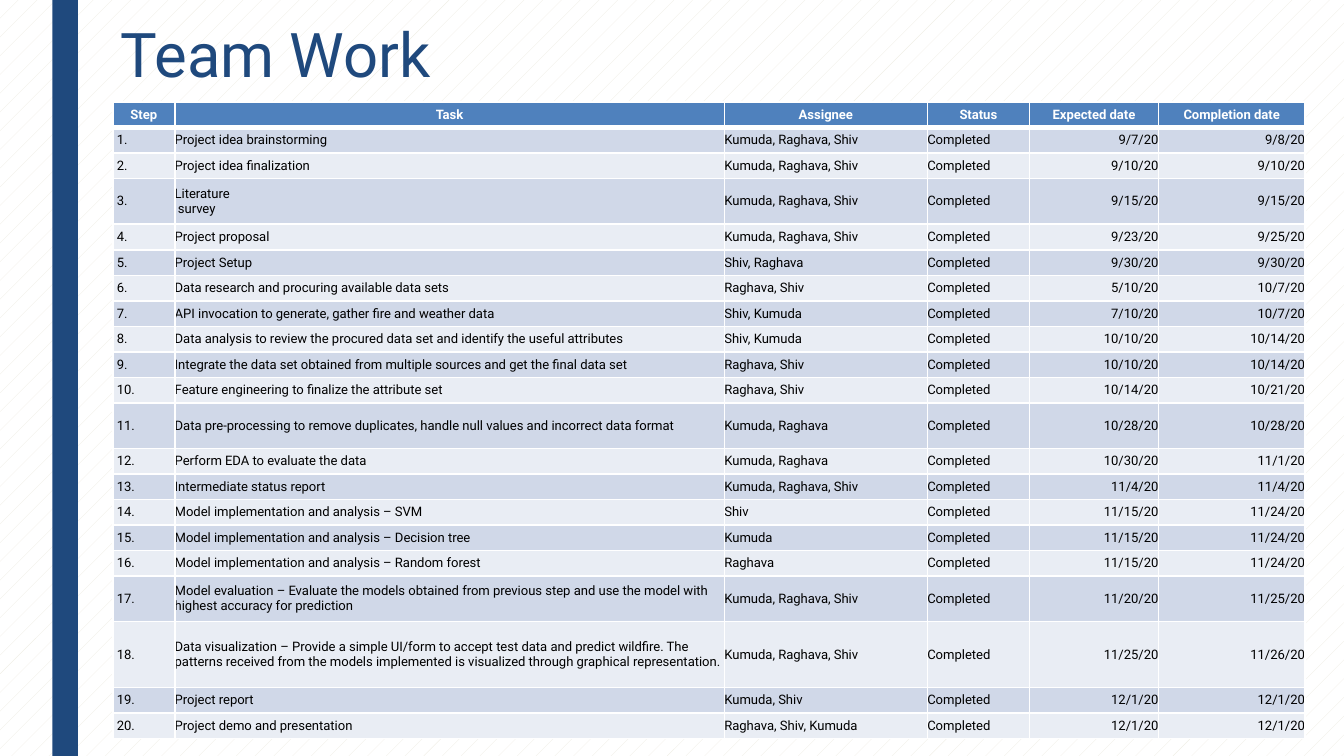
"""Build the Team Work slide: a project plan table beside a blue side bar."""
from pptx import Presentation
from pptx import util as u
from pptx.dml.color import RGBColor
from pptx.enum import dml, shapes, text
from pptx.oxml import parse_xml
from pptx.oxml.ns import nsdecls

NAVY = RGBColor(0x1F, 0x49, 0x7D)
BLUE = RGBColor(0x4F, 0x81, 0xBD)
BAND_DARK = RGBColor(0xD0, 0xD8, 0xE8)
BAND_LIGHT = RGBColor(0xE9, 0xED, 0xF4)
CREAM = RGBColor(0xEE, 0xEC, 0xE1)
WHITE = RGBColor(0xFF, 0xFF, 0xFF)
BLACK = RGBColor(0, 0, 0)
FONT = "Roboto"

TITLE = "Team Work"
HEADINGS = ("Step", "Task", "Assignee", "Status", "Expected date", "Completion date")
STATUS = "Completed"
EVERYONE = "Kumuda, Raghava, Shiv"
TASKS = [
    ("Project idea brainstorming", EVERYONE, "9/7/20", "9/8/20"),
    ("Project idea finalization", EVERYONE, "9/10/20", "9/10/20"),
    ("Literature\n survey", EVERYONE, "9/15/20", "9/15/20"),
    ("Project proposal", EVERYONE, "9/23/20", "9/25/20"),
    ("Project Setup", "Shiv, Raghava", "9/30/20", "9/30/20"),
    ("Data research and procuring available data sets", "Raghava, Shiv", "5/10/20", "10/7/20"),
    ("API invocation to generate, gather fire and weather data", "Shiv, Kumuda", "7/10/20", "10/7/20"),
    ("Data analysis to review the procured data set and identify the useful attributes",
     "Shiv, Kumuda", "10/10/20", "10/14/20"),
    ("Integrate the data set obtained from multiple sources and get the final data set",
     "Raghava, Shiv", "10/10/20", "10/14/20"),
    ("Feature engineering to finalize the attribute set", "Raghava, Shiv", "10/14/20", "10/21/20"),
    ("Data pre-processing to remove duplicates, handle null values and incorrect data format",
     "Kumuda, Raghava", "10/28/20", "10/28/20"),
    ("Perform EDA to evaluate the data", "Kumuda, Raghava", "10/30/20", "11/1/20"),
    ("Intermediate status report", EVERYONE, "11/4/20", "11/4/20"),
    ("Model implementation and analysis – SVM", "Shiv", "11/15/20", "11/24/20"),
    ("Model implementation and analysis – Decision tree", "Kumuda", "11/15/20", "11/24/20"),
    ("Model implementation and analysis – Random forest", "Raghava", "11/15/20", "11/24/20"),
    ("Model evaluation – Evaluate the models obtained from previous step and use the model "
     "with highest accuracy for prediction", EVERYONE, "11/20/20", "11/25/20"),
    ("Data visualization – Provide a simple UI/form to accept test data and predict wildfire. "
     "The patterns received from the models implemented is visualized through graphical "
     "representation.", EVERYONE, "11/25/20", "11/26/20"),
    ("Project report", "Kumuda, Shiv", "12/1/20", "12/1/20"),
    ("Project demo and presentation", "Raghava, Shiv, Kumuda", "12/1/20", "12/1/20"),
]
COLUMN_WIDTHS = (0.46, 4.09, 1.51, 0.76, 0.96, 1.09)
ROW_HEIGHT = 0.19
TALL_STEPS = {3: 0.34, 11: 0.34, 17: 0.34, 18: 0.49}
LEFT, CENTER, RIGHT = text.PP_ALIGN.LEFT, text.PP_ALIGN.CENTER, text.PP_ALIGN.RIGHT
COLUMN_ALIGNMENTS = (LEFT, LEFT, LEFT, LEFT, RIGHT, RIGHT)


def add_borders(cell, top, bottom):
    """Rule all four sides of a cell in white, widths in points."""
    properties = cell._tc.get_or_add_tcPr()
    for position, (side, width) in enumerate(zip("LRTB", (1, 1, top, bottom))):
        properties.insert(position, parse_xml(
            f'<a:ln{side} {nsdecls("a")} w="{u.Pt(width)}"><a:solidFill>'
            f'<a:srgbClr val="{WHITE}"/></a:solidFill></a:ln{side}>'))


def fill_cell(cell, content, step, column):
    """Write and style one cell; step 0 is the heading row."""
    heading = step == 0
    cell.text = content
    cell.vertical_anchor = text.MSO_ANCHOR.MIDDLE
    cell.margin_left = u.Inches(0.03 if column == 0 and not heading else 0)
    cell.margin_right = cell.margin_top = cell.margin_bottom = 0
    cell.fill.solid()
    cell.fill.fore_color.rgb = BLUE if heading else BAND_DARK if step % 2 else BAND_LIGHT
    for paragraph in cell.text_frame.paragraphs:
        paragraph.alignment = CENTER if heading else COLUMN_ALIGNMENTS[column]
        paragraph.font.name = FONT
        paragraph.font.size = u.Pt(7)
        paragraph.font.bold = heading
        paragraph.font.color.rgb = WHITE if heading else BLACK
    add_borders(cell, top=3 if step == 1 else 1, bottom=3 if heading else 1)


def add_plan(slide):
    """Add the table of steps."""
    rows = [HEADINGS] + [
        (f"{step}.", task, assignee, STATUS, expected, completed)
        for step, (task, assignee, expected, completed) in enumerate(TASKS, 1)]
    heights = [TALL_STEPS.get(step, ROW_HEIGHT) for step in range(len(rows))]
    plan = slide.shapes.add_table(
        len(rows), len(HEADINGS), u.Inches(0.84), u.Inches(0.76),
        u.Inches(sum(COLUMN_WIDTHS)), u.Inches(sum(heights))).table
    for column, width in zip(plan.columns, COLUMN_WIDTHS):
        column.width = u.Inches(width)
    for step, (contents, height) in enumerate(zip(rows, heights)):
        plan.rows[step].height = u.Inches(height)
        for column, content in enumerate(contents):
            fill_cell(plan.cell(step, column), content, step, column)


def main():
    """Assemble and save the slide."""
    deck = Presentation()
    deck.slide_width = u.Inches(10)
    deck.slide_height = deck.slide_width * 9 // 16
    slide = deck.slides.add_slide(deck.slide_layouts[6])

    backdrop = slide.background.fill
    backdrop.patterned()
    backdrop.pattern = dml.MSO_PATTERN.PERCENT_5
    backdrop.fore_color.rgb = CREAM
    backdrop.back_color.rgb = WHITE

    side_bar = slide.shapes.add_shape(
        shapes.MSO_SHAPE.RECTANGLE, u.Inches(0.39), 0, u.Inches(0.19), deck.slide_height)
    side_bar.shadow.inherit = False
    side_bar.fill.solid()
    side_bar.fill.fore_color.rgb = NAVY
    side_bar.line.fill.background()

    title = slide.shapes.add_textbox(
        u.Inches(0.8), u.Inches(0.13), u.Inches(7.88), u.Inches(0.63)).text_frame
    title.word_wrap = True
    title.vertical_anchor = text.MSO_ANCHOR.MIDDLE
    title.margin_left = title.margin_right = u.Inches(0.1)
    title.margin_top, title.margin_bottom = u.Inches(0.02), u.Inches(0.05)
    title.text = TITLE
    heading = title.paragraphs[0]
    heading.line_spacing = 0.89
    heading.font.name = FONT
    heading.font.size = u.Pt(33)
    heading.font.color.rgb = NAVY

    add_plan(slide)
    deck.save("out.pptx")


if __name__ == "__main__":
    main()
